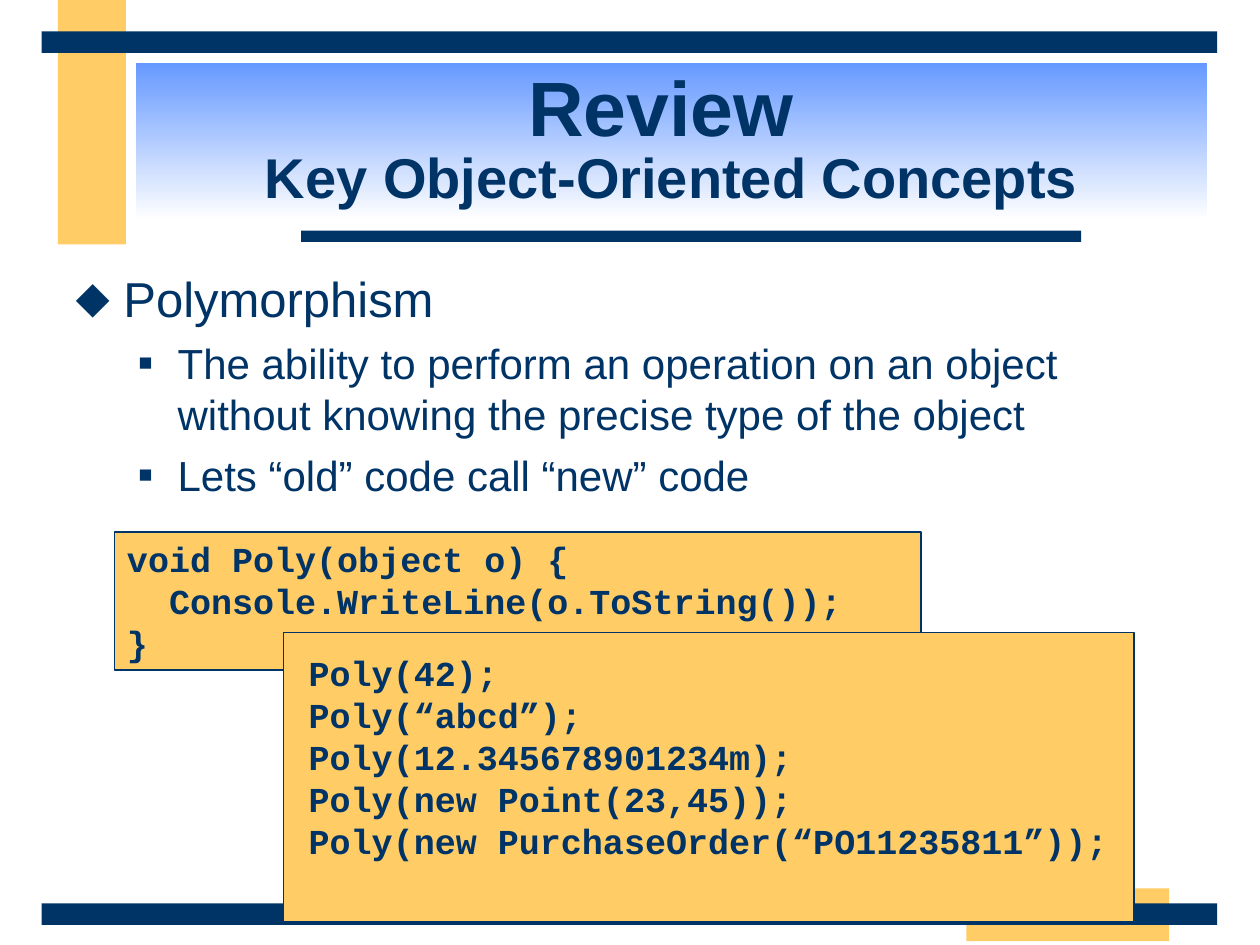
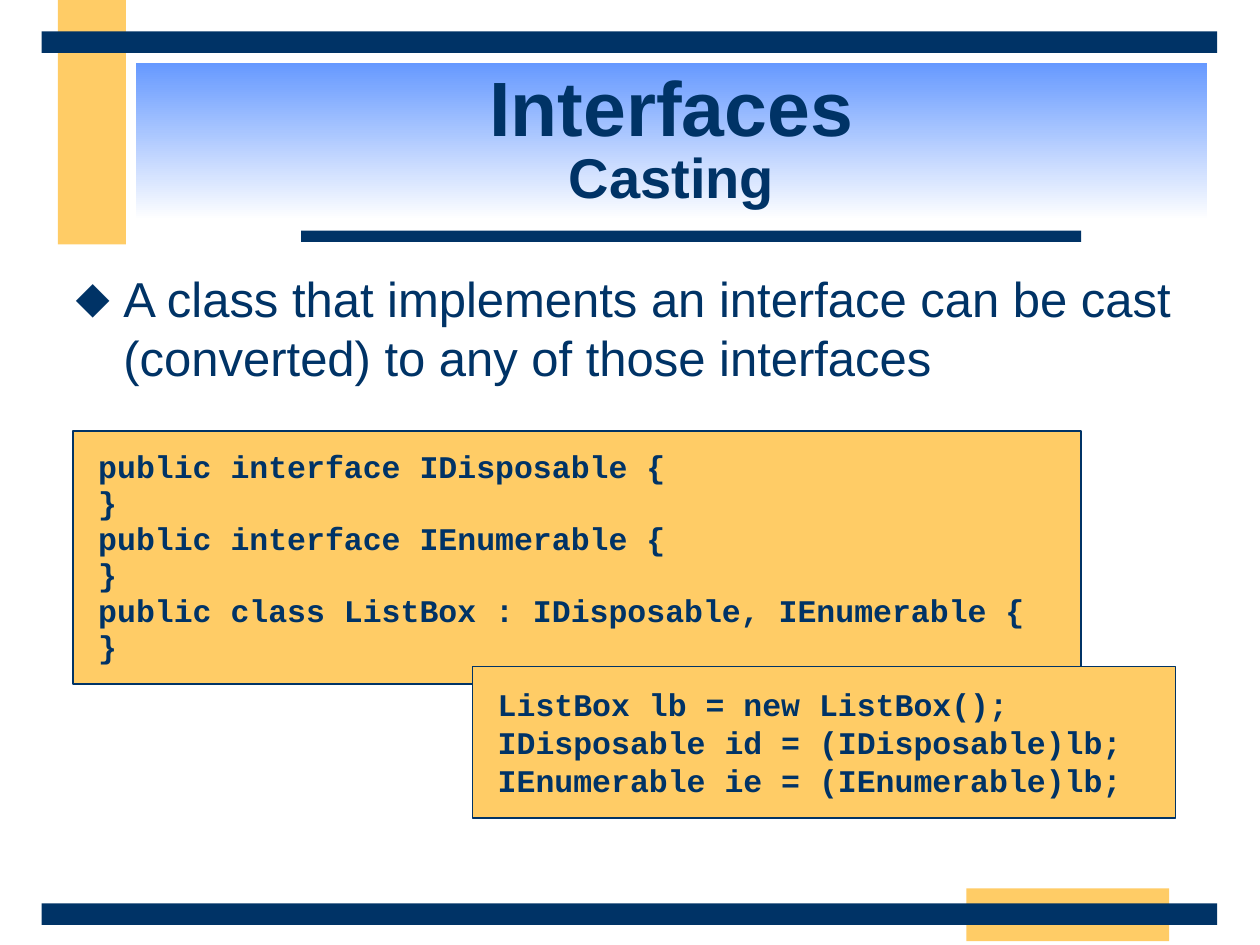
from lxml import etree
from pptx import Presentation
from pptx.dml.color import RGBColor
from pptx.enum.shapes import MSO_SHAPE
from pptx.enum.text import MSO_ANCHOR, MSO_AUTO_SIZE, PP_ALIGN
from pptx.oxml.ns import qn
from pptx.util import Inches, Pt

RECTANGLE = MSO_SHAPE.RECTANGLE
TOP, MIDDLE = MSO_ANCHOR.TOP, MSO_ANCHOR.MIDDLE
NO_FIT, GROW = MSO_AUTO_SIZE.NONE, MSO_AUTO_SIZE.SHAPE_TO_FIT_TEXT
LEFT, CENTER = PP_ALIGN.LEFT, PP_ALIGN.CENTER

NAVY = RGBColor(0x00, 0x33, 0x66)
GOLD = RGBColor(0xFF, 0xCC, 0x66)
SKY = RGBColor(0x66, 0x99, 0xFF)
WHITE = RGBColor(0xFF, 0xFF, 0xFF)
TEXT_FONT, CODE_FONT = "Arial", "Courier New"

BANDS = [
    (0.46, 0, 0.54, 1.94, GOLD),
    (7.67, 7.05, 1.61, 0.42, GOLD),
    (2.39, 1.83, 6.19, 0.09, NAVY),
    (0.33, 7.17, 9.33, 0.17, NAVY),
    (0.33, 0.25, 9.33, 0.17, NAVY),
]
# Per list level: text indent, hanging indent, space before, size, bullet, bullet percent
LEVELS = [
    (0.38, 0.38, 7, 28, "⬥", 100),
    (0.81, 0.31, 6, 24, "■", 55),
]

SLIDES = [
    {
        "title": ("Review ", "Key Object-Oriented Concepts"),
        "body": [
            (0, "Polymorphism"),
            (1, "The ability to perform an operation on an object without "
                "knowing the precise type of the object"),
            (1, "Lets “old” code call “new” code"),
        ],
        "code": [
            {"at": (0.91, 4.22, 6.4, 1.1), "insets": (0.1, 0.05), "size": 20,
             "wrap": False, "spacing": 1.0, "lines": [
                 "void Poly(object o) {",
                 "  Console.WriteLine(o.ToString());",
                 "}"]},
            {"at": (2.25, 5.02, 6.75, 2.3), "insets": (0.2, 0.15), "size": 20,
             "wrap": True, "spacing": 1.0, "lines": [
                 "Poly(42);",
                 "Poly(“abcd”);",
                 "Poly(12.345678901234m);",
                 "Poly(new Point(23,45));",
                 "Poly(new PurchaseOrder(“PO11235811”));"]},
        ],
    },
    {
        "title": ("Interfaces", "Casting"),
        "body": [
            (0, "A class that implements an interface can be cast "
                "(converted) to any of those interfaces"),
        ],
        "code": [
            {"at": (0.58, 3.42, 8, 2.01), "insets": (0.2, 0.15), "size": 18,
             "wrap": True, "spacing": 0.95, "lines": [
                 "public interface IDisposable {",
                 "}",
                 "public interface IEnumerable {",
                 "}",
                 "public class ListBox : IDisposable, IEnumerable {",
                 "}"]},
            {"at": (3.75, 5.29, 5.58, 1.2), "insets": (0.2, 0.15), "size": 18,
             "wrap": True, "spacing": 1.0, "lines": [
                 "ListBox lb = new ListBox();",
                 "IDisposable id = (IDisposable)lb;",
                 "IEnumerable ie = (IEnumerable)lb;"]},
        ],
    },
]


def add_box(slide, left, top, width, height, color):
    shape = slide.shapes.add_shape(
        RECTANGLE, Inches(left), Inches(top), Inches(width), Inches(height))
    shape.shadow.inherit = False
    shape.fill.solid()
    shape.fill.fore_color.rgb = color
    shape.line.fill.background()
    return shape


def place(shape, left, top, width, height):
    shape.left, shape.top = Inches(left), Inches(top)
    shape.width, shape.height = Inches(width), Inches(height)


presentation = Presentation()
presentation.slide_width = Inches(10)
presentation.slide_height = Inches(7.5)
title_and_content = presentation.slide_layouts[1]

for content in SLIDES:
    slide = presentation.slides.add_slide(title_and_content)
    for band in BANDS:
        add_box(slide, *band)

    # Title on a gradient panel
    title = slide.shapes.title
    place(title, 1.08, 0.5, 8.5, 1.25)
    title.fill.gradient()
    title.fill.gradient_angle = 270
    for stop, color, position in zip(title.fill.gradient_stops, (SKY, WHITE), (0, 1)):
        stop.color.rgb = color
        stop.position = position
    title.text_frame.auto_size = NO_FIT
    title.text_frame.vertical_anchor = MIDDLE
    paragraph = title.text_frame.paragraphs[0]
    paragraph.alignment = CENTER
    paragraph.line_spacing = 0.85
    paragraph.font.name = TEXT_FONT
    paragraph.font.bold = True
    paragraph.font.color.rgb = NAVY
    heading, subheading = content["title"]
    run = paragraph.add_run()
    run.text = heading
    run.font.size = Pt(44)
    paragraph.add_line_break()
    run = paragraph.add_run()
    run.text = subheading
    run.font.size = Pt(32)

    # Bulleted list
    body = slide.placeholders[1]
    place(body, 0.5, 2.08, 9, 4.92)
    frame = body.text_frame
    frame.auto_size = NO_FIT
    for index, (level, text) in enumerate(content["body"]):
        indent, hanging, space, size, bullet, percent = LEVELS[level]
        paragraph = frame.paragraphs[0] if index == 0 else frame.add_paragraph()
        paragraph.text = text
        paragraph.level = level
        paragraph.space_before = Pt(space if index else 0)
        properties = paragraph._p.get_or_add_pPr()
        properties.set("marL", str(Inches(indent)))
        properties.set("indent", str(-Inches(hanging)))
        bullet_color = etree.SubElement(properties, qn("a:buClr"))
        etree.SubElement(bullet_color, qn("a:srgbClr"), val=str(NAVY))
        etree.SubElement(properties, qn("a:buSzPct"), val=str(percent * 1000))
        etree.SubElement(properties, qn("a:buFont"), typeface=TEXT_FONT)
        etree.SubElement(properties, qn("a:buChar"), char=bullet)
        paragraph.font.name = TEXT_FONT
        paragraph.font.size = Pt(size)
        paragraph.font.color.rgb = NAVY

    # Overlapping code samples
    for sample in content["code"]:
        box = add_box(slide, *sample["at"], GOLD)
        box.line.color.rgb = NAVY
        box.line.width = Pt(1)
        frame = box.text_frame
        frame.word_wrap = sample["wrap"]
        frame.auto_size = GROW
        frame.vertical_anchor = TOP
        side, edge = sample["insets"]
        frame.margin_left = frame.margin_right = Inches(side)
        frame.margin_top = frame.margin_bottom = Inches(edge)
        for index, line in enumerate(sample["lines"]):
            paragraph = frame.paragraphs[0] if index == 0 else frame.add_paragraph()
            paragraph.text = line
            paragraph.alignment = LEFT
            paragraph.line_spacing = sample["spacing"]
            paragraph.font.name = CODE_FONT
            paragraph.font.size = Pt(sample["size"])
            paragraph.font.bold = True
            paragraph.font.color.rgb = NAVY

presentation.save("out.pptx")
